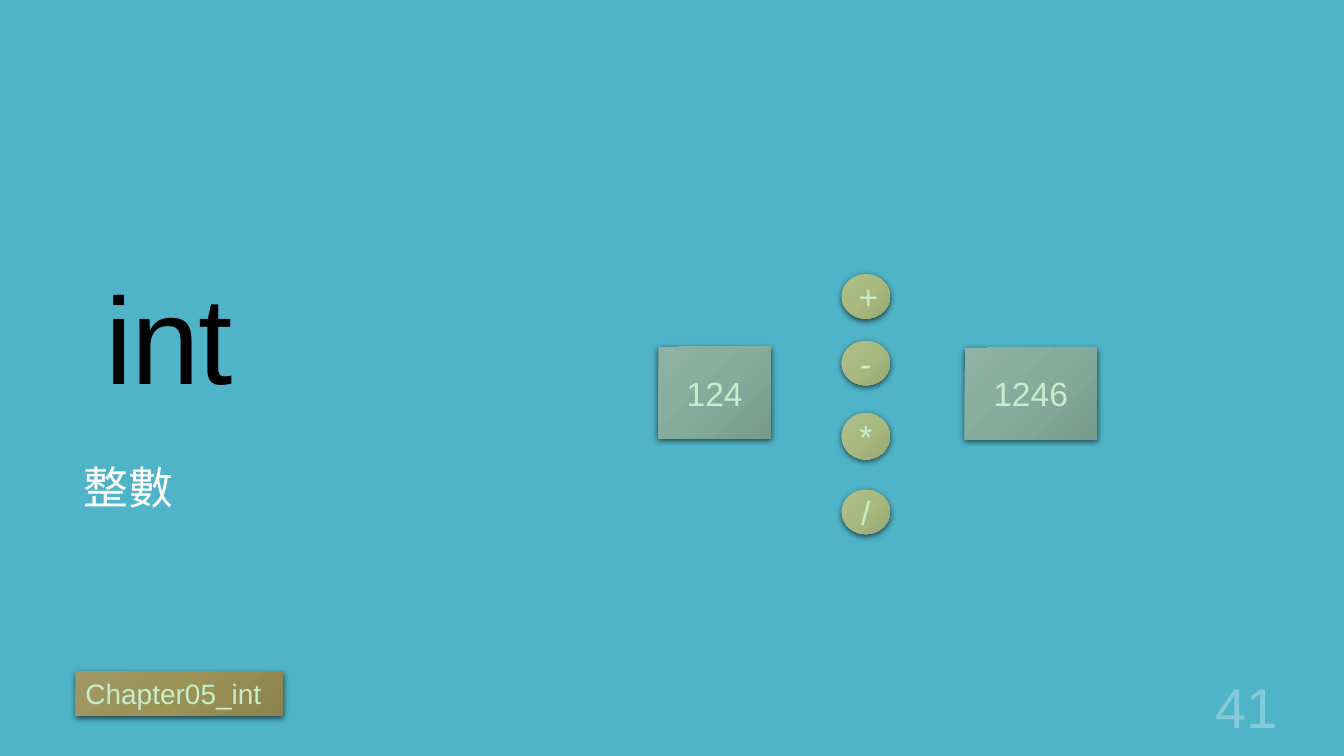
from dataclasses import dataclass

import pptx
import pptx.dml.color
import pptx.enum.shapes
import pptx.enum.text
import pptx.oxml
import pptx.oxml.ns
import pptx.util
from pptx.dml.color import RGBColor
from pptx.enum.shapes import MSO_SHAPE
from pptx.enum.text import MSO_ANCHOR, PP_ALIGN
from pptx.util import Cm

TEAL = RGBColor(0x50, 0xB4, 0xC8)
BLACK = RGBColor(0, 0, 0)
WHITE = RGBColor(0xFF, 0xFF, 0xFF)
MINT = RGBColor(0xC7, 0xED, 0xCC)
PALE = RGBColor(0x84, 0xCB, 0xDA)
GOLD = (RGBColor(0xA1, 0x99, 0x65), RGBColor(0x9B, 0x92, 0x56), RGBColor(0x8B, 0x83, 0x4D))
SAGE = (RGBColor(0x8E, 0xB2, 0xA4), RGBColor(0x84, 0xAC, 0x9D), RGBColor(0x76, 0x9B, 0x8D))
LIME = (RGBColor(0xAE, 0xBE, 0x89), RGBColor(0xA8, 0xB9, 0x7F), RGBColor(0x97, 0xA7, 0x72))
FONT = "Arial"


@dataclass
class Block:
    text: str
    left: float
    top: float
    width: float
    height: float
    tones: tuple[RGBColor, ...]
    kind: MSO_SHAPE = MSO_SHAPE.RECTANGLE
    size: int = 24
    align: PP_ALIGN = PP_ALIGN.CENTER
    anchor: MSO_ANCHOR = MSO_ANCHOR.MIDDLE


def write(shape, text: str, size: int, color: RGBColor, align: PP_ALIGN, anchor: MSO_ANCHOR):
    frame = shape.text_frame
    frame.word_wrap = True
    frame.auto_size = pptx.enum.text.MSO_AUTO_SIZE.NONE
    frame.vertical_anchor = anchor
    frame.text = text
    line = frame.paragraphs[0]
    line.alignment = align
    line.font.name = FONT
    line.font.size = pptx.util.Pt(size)
    line.font.color.rgb = color
    return line


def shade(shape, tones: tuple[RGBColor, ...]) -> None:
    fill = shape.fill
    fill.gradient()
    fill.gradient_angle = 315
    stops = shape._element.spPr.find(".//" + pptx.oxml.ns.qn("a:gsLst"))
    for stop in list(stops):
        stops.remove(stop)
    step = 100000 // (len(tones) - 1)
    for i, tone in enumerate(tones):
        stops.append(pptx.oxml.parse_xml(
            f'<a:gs {pptx.oxml.ns.nsdecls("a")} pos="{i * step}"><a:srgbClr val="{tone}"/></a:gs>'))


def lift(shape) -> None:
    shape.shadow.inherit = False
    shape._element.spPr.find(pptx.oxml.ns.qn("a:effectLst")).append(pptx.oxml.parse_xml(
        f'<a:outerShdw {pptx.oxml.ns.nsdecls("a")} blurRad="{pptx.util.Pt(4.5)}" '
        f'dist="{pptx.util.Pt(1.5)}" dir="5400000" algn="ctr" rotWithShape="0">'
        '<a:srgbClr val="000000"><a:alpha val="63000"/></a:srgbClr></a:outerShdw>'))


def draw(slide, block: Block) -> None:
    shape = slide.shapes.add_shape(
        block.kind, Cm(block.left), Cm(block.top), Cm(block.width), Cm(block.height))
    shade(shape, block.tones)
    shape.line.fill.background()
    lift(shape)
    write(shape, block.text, block.size, MINT, block.align, block.anchor)


def main() -> None:
    deck = pptx.Presentation()
    deck.slide_width, deck.slide_height = Cm(33.87), Cm(19.05)
    slide = deck.slides.add_slide(deck.slide_layouts[5])
    slide.background.fill.solid()
    slide.background.fill.fore_color.rgb = TEAL

    title = slide.shapes.title
    title.left, title.top, title.width, title.height = Cm(2.41), Cm(1.09), Cm(29.95), Cm(9.32)
    line = write(title, "int", 88, BLACK, PP_ALIGN.LEFT, MSO_ANCHOR.BOTTOM)
    line.line_spacing = 0.8
    line.runs[0].font._element.set("spc", "-120")

    gloss = slide.shapes.add_textbox(Cm(1.85), Cm(11.68), Cm(25.63), Cm(4.57))
    line = write(gloss, "整數", 32, WHITE, PP_ALIGN.LEFT, MSO_ANCHOR.TOP)
    line.line_spacing = 0.85
    line.space_before = pptx.util.Pt(13)

    blocks = [
        Block("Chapter05_int", 1.9, 16.92, 5.23, 1.12, GOLD,
              size=20, align=PP_ALIGN.LEFT, anchor=MSO_ANCHOR.TOP),
        Block("1246", 24.31, 8.76, 3.33, 2.31, SAGE),
        Block("124", 16.59, 8.74, 2.84, 2.31, SAGE),
    ]
    signs = [("+", 6.91, 1.12), ("-", 8.59, 1.12), ("*", 10.41, 1.17), ("/", 12.34, 1.12)]
    blocks += [Block(sign, 21.21, top, 1.22, height, LIME, MSO_SHAPE.OVAL)
               for sign, top, height in signs]
    for block in blocks:
        draw(slide, block)

    page = slide.shapes.add_textbox(Cm(28.4), Cm(16.8), Cm(4.05), Cm(2))
    write(page, "41", 40, PALE, PP_ALIGN.RIGHT, MSO_ANCHOR.MIDDLE)
    deck.save("out.pptx")


if __name__ == "__main__":
    main()
